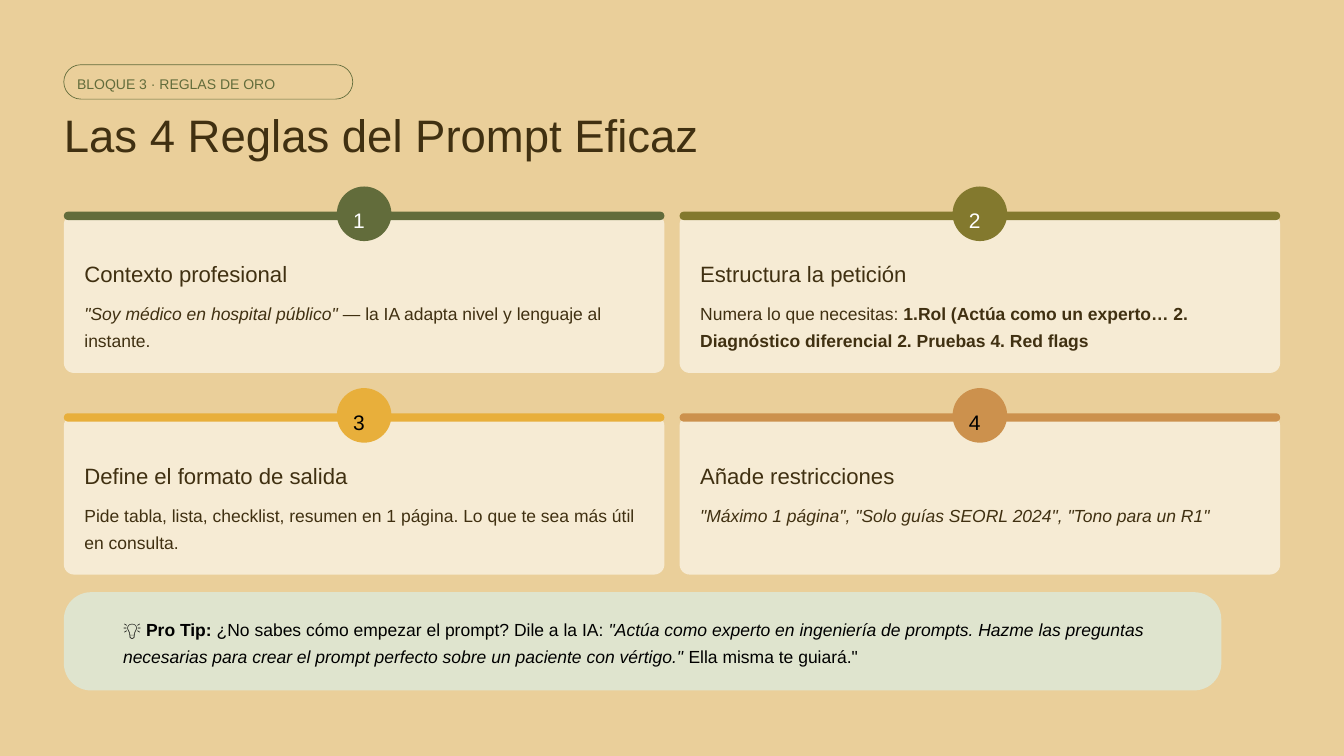
from dataclasses import dataclass

from pptx import Presentation
from pptx.dml.color import RGBColor
from pptx.enum.shapes import MSO_SHAPE
from pptx.enum.text import MSO_ANCHOR, MSO_AUTO_SIZE, PP_ALIGN
from pptx.util import Inches, Pt


@dataclass(frozen=True)
class Theme:
    font: str = "Arial"
    sand: str = "EACF9A"
    cream: str = "F6EBD4"
    sage: str = "DFE4CE"
    brown: str = "403011"
    green: str = "626C3B"
    olive: str = "83792E"
    amber: str = "E8AF3B"
    copper: str = "CC914D"
    white: str = "FFFFFF"
    black: str = "000000"
    title: int = 39
    heading: int = 19
    number: int = 18
    body: int = 15
    label: int = 12


theme = Theme()


def write(paragraph, *runs, size, color, leading, before=0):
    paragraph.alignment = PP_ALIGN.LEFT
    paragraph.line_spacing = Pt(leading)
    paragraph.space_before = Pt(before)
    for text, style in runs:
        run = paragraph.add_run()
        run.text = text
        run.font.name = theme.font
        run.font.size = Pt(size)
        run.font.color.rgb = RGBColor.from_string(color)
        run.font.bold = style == "bold"
        run.font.italic = style == "italic"


def rounded(left, top, width, height, corner, fill=None, inset=(0, 0)):
    shape = slide.shapes.add_shape(
        MSO_SHAPE.ROUNDED_RECTANGLE,
        Inches(left), Inches(top), Inches(width), Inches(height))
    shape.adjustments[0] = corner
    shape.shadow.inherit = False
    shape.line.fill.background()
    if fill:
        shape.fill.solid()
        shape.fill.fore_color.rgb = RGBColor.from_string(fill)
    else:
        shape.fill.background()
    frame = shape.text_frame
    frame.word_wrap = True
    frame.vertical_anchor = MSO_ANCHOR.TOP
    frame.margin_left = frame.margin_right = Inches(inset[0])
    frame.margin_top, frame.margin_bottom = Inches(inset[1]), 0
    return shape


presentation = Presentation()
presentation.slide_width = Inches(16)
presentation.slide_height = Inches(9)
slide = presentation.slides.add_slide(presentation.slide_layouts[5])
slide.background.fill.solid()
slide.background.fill.fore_color.rgb = RGBColor.from_string(theme.sand)

block_label = rounded(0.76, 0.77, 3.44, 0.41, 0.5, inset=(0.1, 0.02))
block_label.line.color.rgb = RGBColor.from_string(theme.green)
block_label.line.width = Pt(0.6)
write(block_label.text_frame.paragraphs[0], ("BLOQUE 3 · REGLAS DE ORO", ""),
      size=theme.label, color=theme.green, leading=18)

title = slide.shapes.title
title.left, title.top = Inches(0.76), Inches(1.26)
title.width, title.height = Inches(14.48), Inches(0.66)
headline = title.text_frame
headline.auto_size = MSO_AUTO_SIZE.NONE
headline.vertical_anchor = MSO_ANCHOR.TOP
headline.margin_left = headline.margin_right = 0
headline.margin_top = headline.margin_bottom = 0
write(headline.paragraphs[0], ("Las 4 Reglas del Prompt Eficaz", ""),
      size=theme.title, color=theme.brown, leading=48)

rules = [
    (theme.green, theme.white, "Contexto profesional",
     [('"Soy médico en hospital público"', "italic"),
      (" — la IA adapta nivel y lenguaje al instante.", "")]),
    (theme.olive, theme.white, "Estructura la petición",
     [("Numera lo que necesitas: ", ""),
      ("1.Rol (Actúa como un experto… 2. Diagnóstico diferencial "
       "2. Pruebas 4. Red flags", "bold")]),
    (theme.amber, theme.black, "Define el formato de salida",
     [("Pide tabla, lista, checklist, resumen en 1 página. "
       "Lo que te sea más útil en consulta.", "")]),
    (theme.copper, theme.black, "Añade restricciones",
     [('"Máximo 1 página", "Solo guías SEORL 2024", "Tono para un R1"',
       "italic")]),
]
card_width, badge_size = 7.15, 0.65

for index, (accent, number_color, heading, advice) in enumerate(rules):
    row, column = divmod(index, 2)
    left = 0.76 + column * 7.33
    top = 2.55 + row * 2.4
    card = rounded(left, top, card_width, 1.89, 0.064, theme.cream, (0.21, 0.5))
    write(card.text_frame.paragraphs[0], (heading, ""),
          size=theme.heading, color=theme.brown, leading=24)
    write(card.text_frame.add_paragraph(), *advice,
          size=theme.body, color=theme.brown, leading=23, before=9)
    rounded(left, top - 0.03, card_width, 0.1, 0.5, accent)
    badge = rounded(left + (card_width - badge_size) / 2, top - 0.33,
                    badge_size, badge_size, 0.5, accent, (0.1, 0.07))
    write(badge.text_frame.paragraphs[0], (str(index + 1), ""),
          size=theme.number, color=number_color, leading=28)

tip = rounded(0.76, 7.05, 13.78, 1.17, 0.277, theme.sage, (0.61, 0.16))
tip.text_frame.margin_right = 0
tip_format = dict(size=theme.body, color=theme.black, leading=23)
write(tip.text_frame.paragraphs[0],
      ("💡 ", ""), ("Pro Tip:", "bold"),
      (" ¿No sabes cómo empezar el prompt? Dile a la IA: ", ""),
      ('"Actúa como experto en ingeniería de prompts. Hazme las preguntas',
       "italic"), **tip_format)
write(tip.text_frame.add_paragraph(),
      ("necesarias para crear el prompt perfecto sobre un paciente "
       'con vértigo."', "italic"),
      (' Ella misma te guiará."', ""), **tip_format)

presentation.save("out.pptx")
